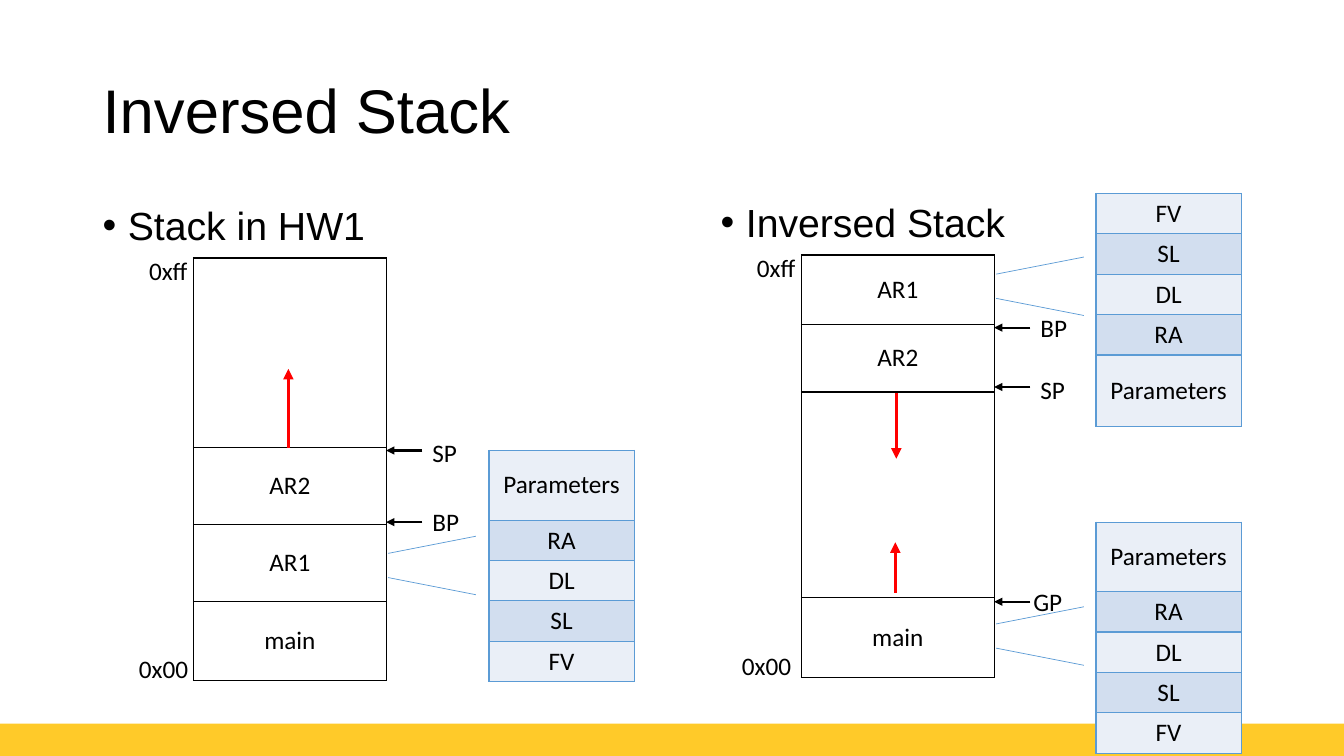
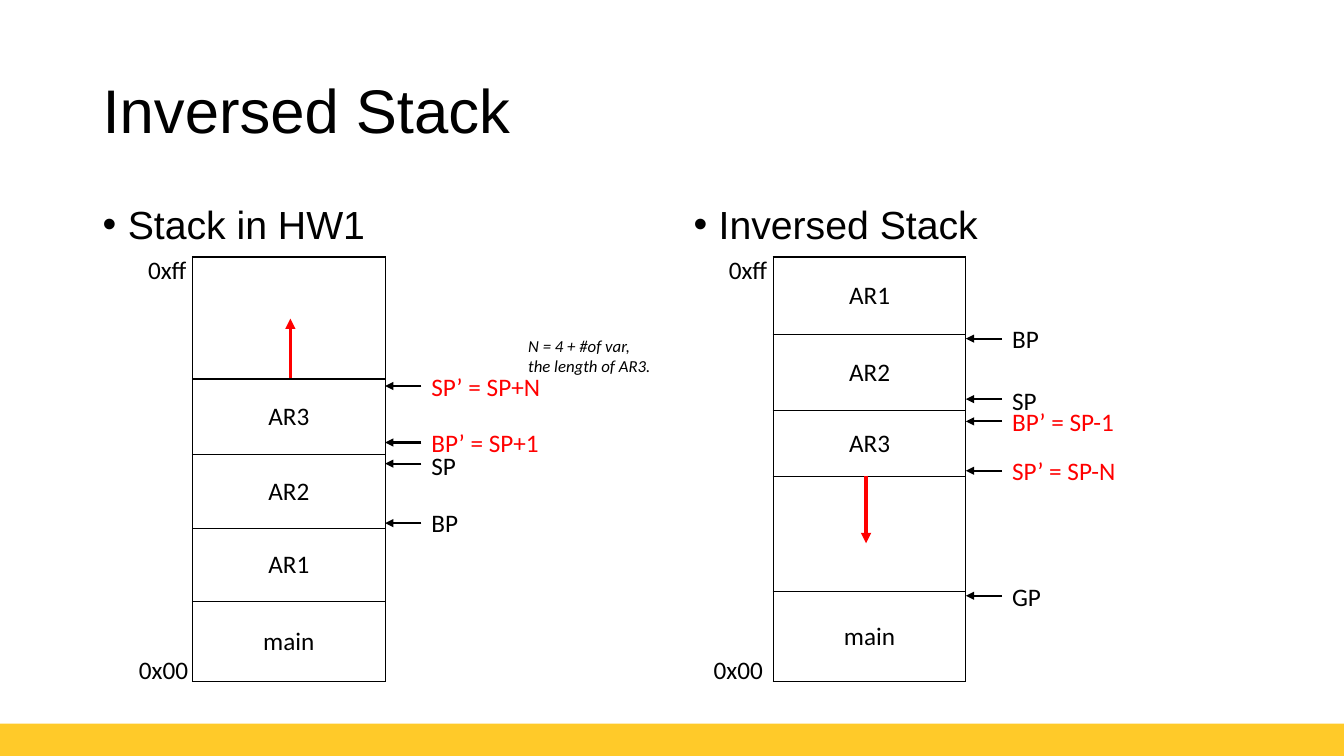
from pptx import Presentation
from pptx.dml.color import RGBColor
from pptx.enum.shapes import MSO_CONNECTOR, MSO_SHAPE
from pptx.enum.text import MSO_ANCHOR, PP_ALIGN
from pptx.oxml.ns import qn
from pptx.util import Inches, Pt
from lxml.etree import SubElement, Element

BLACK, RED, BLUE, AMBER = "000000", "FF0000", "5B9BD5", "FFCA29"
BANDS = ("EAEFF7", "D2DEEF")
HEAD_FONT, BODY_FONT = "Arial", "Calibri"

STACK_WIDTH = 1.91
RECORD_WIDTH = 1.44
ROW = 0.4
POINTER_LENGTH = 0.36
RECORD = ["Parameters", "RA", "DL", "SL", "FV"]


def rgb(color):
    return RGBColor.from_string(color)


def set_font(paragraph, size, name=BODY_FONT, color=BLACK, italic=None):
    font = paragraph.font
    font.size, font.name, font.italic = Pt(size), name, italic
    font.color.rgb = rgb(color)


def add_text(slide, x, y, width, height, text, size=18, anchor=MSO_ANCHOR.TOP, **font):
    box = slide.shapes.add_textbox(Inches(x), Inches(y), Inches(width), Inches(height))
    frame = box.text_frame
    frame.word_wrap = True
    frame.vertical_anchor = anchor
    frame.text = text
    for paragraph in frame.paragraphs:
        set_font(paragraph, size, **font)
    return frame.paragraphs[0]


def add_heading(slide, x, y, text):
    """Add a bulleted heading above a stack."""
    paragraph = add_text(slide, x, y, 3.69, 0.6, text, 28, name=HEAD_FONT)
    paragraph.line_spacing = 0.9
    properties = paragraph._p.get_or_add_pPr()
    properties.set("marL", str(Inches(0.25)))
    properties.set("indent", str(Inches(-0.25)))
    bullet = Element(qn("a:buChar"), char="•")
    bullet_font = Element(qn("a:buFont"), typeface=HEAD_FONT)
    properties.find(qn("a:lnSpc")).addnext(bullet_font)
    bullet_font.addnext(bullet)


def add_line(slide, start, end, color, width, arrow=True):
    points = [Inches(value) for value in (*start, *end)]
    connector = slide.shapes.add_connector(MSO_CONNECTOR.STRAIGHT, *points)
    connector.line.color.rgb = rgb(color)
    connector.line.width = Pt(width)
    properties = connector._element.spPr
    if arrow:
        SubElement(properties.find(qn("a:ln")), qn("a:tailEnd"), type="triangle")
    SubElement(properties, qn("a:effectLst"))


def set_borders(cell, color):
    properties = cell._tc.get_or_add_tcPr()
    for position, side in enumerate(("lnL", "lnR", "lnT", "lnB")):
        border = Element(qn(f"a:{side}"), w=str(Pt(1)))
        fill = SubElement(border, qn("a:solidFill"))
        SubElement(fill, qn("a:srgbClr"), val=color)
        properties.insert(position, border)


def add_column(slide, x, y, width, rows, border, bands=None):
    """Add a one-column table from (text, height) rows, listed downwards."""
    total = sum(height for _, height in rows)
    table = slide.shapes.add_table(
        len(rows), 1, Inches(x), Inches(y), Inches(width), Inches(total)
    ).table
    table.first_row = table.horz_banding = False
    for index, (text, height) in enumerate(rows):
        table.rows[index].height = Inches(height)
        cell = table.cell(index, 0)
        cell.vertical_anchor = MSO_ANCHOR.MIDDLE
        if bands:
            cell.fill.solid()
            cell.fill.fore_color.rgb = rgb(bands[index % len(bands)])
        else:
            cell.fill.background()
        set_borders(cell, border)
        cell.text = text
        paragraph = cell.text_frame.paragraphs[0]
        paragraph.alignment = PP_ALIGN.CENTER
        set_font(paragraph, 18)


def add_pointer(slide, x, text, y, label_y, color=BLACK, shift=0):
    """Add an arrow to a stack edge, with its register name on the right."""
    tail = x + POINTER_LENGTH
    add_line(slide, (tail, y), (x, y), BLACK, 1.5)
    width = 0.8 if len(text) < 5 else 1.71
    add_text(slide, tail + shift, label_y, width, 0.4, text, color=color)


def add_stack(slide, x, y, heading, heading_x, low_x, frames, pointers, growth):
    """Add a memory stack with addresses, register pointers and growth arrows."""
    add_heading(slide, heading_x, y - 0.56, heading)
    add_column(slide, x, y, STACK_WIDTH, frames, BLACK)
    bottom = y + sum(height for _, height in frames)
    add_text(slide, x - 0.54, y - 0.08, 0.8, 0.4, "0xff")
    add_text(slide, low_x, bottom - 0.32, 0.8, 0.4, "0x00")
    for pointer in pointers:
        add_pointer(slide, x + STACK_WIDTH, *pointer)
    for arrow_x, start, end in growth:
        add_line(slide, (arrow_x, start), (arrow_x, end), RED, 2.5)


def add_record(slide, x, y, fields, tall, zoom_x, zoom_y):
    """Add the fields of an activation record and the lines that open it out."""
    rows = [(field, tall if field == "Parameters" else ROW) for field in fields]
    add_column(slide, x, y, RECORD_WIDTH, rows, BLUE, BANDS)
    for side in (-1, 1):
        add_line(slide, (zoom_x, zoom_y + side * 0.12),
                 (zoom_x + 0.87, zoom_y + side * 0.29), BLUE, 0.5, arrow=False)


def add_base(deck, title):
    """Add a slide with the title and the bottom band."""
    slide = deck.slides.add_slide(deck.slide_layouts[6])
    band = slide.shapes.add_shape(
        MSO_SHAPE.RECTANGLE, 0, Inches(7.18), deck.slide_width, Inches(0.32)
    )
    band.shadow.inherit = False
    band.fill.solid()
    band.fill.fore_color.rgb = rgb(AMBER)
    band.line.fill.background()
    paragraph = add_text(slide, 0.92, 0.4, 11.5, 1.45, title, 44,
                         MSO_ANCHOR.MIDDLE, name=HEAD_FONT)
    paragraph.line_spacing = 0.9
    return slide


def add_layout_slide(deck):
    slide = add_base(deck, "Inversed Stack")
    add_stack(
        slide, 1.92, 2.56, "Stack in HW1", 0.92, 1.28,
        frames=[("", 1.88), ("AR2", 0.76), ("AR1", 0.77), ("main", 0.78)],
        pointers=[("SP", 4.47, 4.29), ("BP", 5.18, 4.97)],
        growth=[(2.86, 4.44, 3.66)],
    )
    add_stack(
        slide, 7.95, 2.53, "Inversed Stack", 7.05, 7.26,
        frames=[("AR1", 0.69), ("AR2", 0.67), ("", 2.04), ("main", 0.79)],
        pointers=[("SP", 3.84, 3.66), ("BP", 3.25, 3.05),
                  ("GP", 5.97, 5.77, BLACK, -0.07)],
        growth=[(8.89, 3.9, 4.55), (8.88, 5.88, 5.38)],
    )
    add_record(slide, 4.85, 4.47, RECORD, 0.69, 3.85, 5.61)
    add_record(slide, 10.87, 1.92, RECORD[::-1], 0.71, 9.88, 2.84)
    add_record(slide, 10.87, 5.18, RECORD, 0.69, 9.88, 6.31)


def add_call_slide(deck):
    slide = add_base(deck, "Inversed Stack")
    add_stack(
        slide, 1.91, 2.55, "Stack in HW1", 0.92, 1.28,
        frames=[("", 1.21), ("AR3", 0.75), ("AR2", 0.73), ("AR1", 0.73), ("main", 0.79)],
        pointers=[("SP", 4.6, 4.42), ("BP", 5.19, 4.98),
                  ("BP’ = SP+1", 4.39, 4.19, RED), ("SP’ = SP+N", 3.83, 3.63, RED)],
        growth=[(2.88, 3.75, 3.16)],
    )
    add_stack(
        slide, 7.67, 2.55, "Inversed Stack", 6.78, 6.98,
        frames=[("AR1", 0.77), ("AR2", 0.75), ("AR3", 0.66), ("", 1.14), ("main", 0.89)],
        pointers=[("SP", 3.96, 3.77), ("BP", 3.36, 3.16), ("GP", 5.91, 5.72),
                  ("BP’ = SP-1", 4.18, 3.98, RED), ("SP’ = SP-N", 4.67, 4.47, RED)],
        growth=[(8.59, 4.72, 5.39)],
    )
    add_text(slide, 5.14, 3.28, 1.71, 0.5,
             "N = 4 + #of var,\nthe length of AR3.", 12, italic=True)


def main():
    deck = Presentation()
    deck.slide_width, deck.slide_height = Inches(13.33), Inches(7.5)
    add_layout_slide(deck)
    add_call_slide(deck)
    deck.save("out.pptx")


if __name__ == "__main__":
    main()
